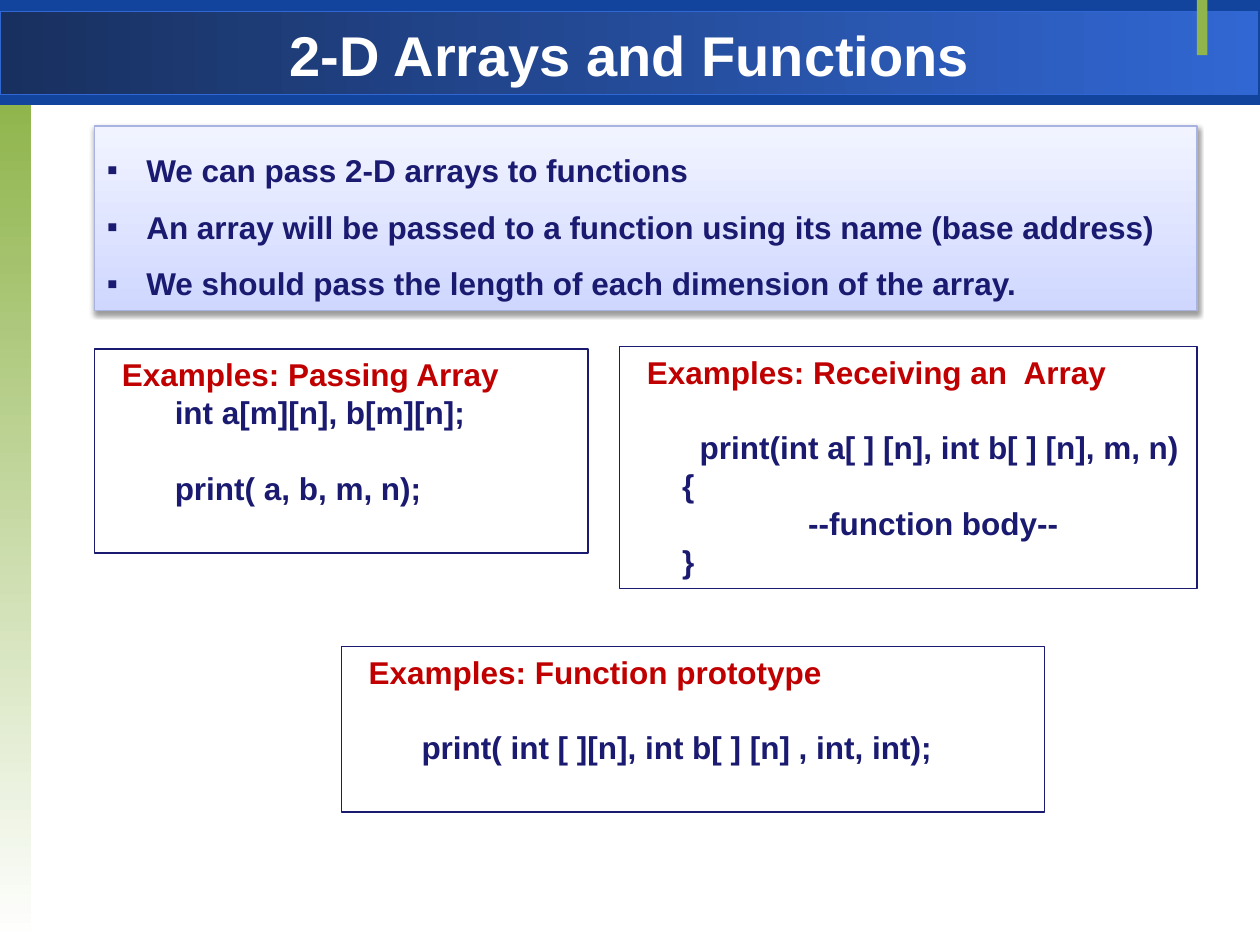
from lxml import etree
from pptx import Presentation
from pptx.dml.color import RGBColor
from pptx.enum.shapes import MSO_SHAPE as SHAPE
from pptx.enum.text import MSO_ANCHOR as ANCHOR, PP_ALIGN as ALIGN
from pptx.oxml import parse_xml
from pptx.oxml.ns import nsdecls, qn
from pptx.util import Pt

rgb = RGBColor.from_string
NAVY, RED, WHITE, GREEN = "1A1A70", "C00000", "FFFFFF", "90B54D"


def add_box(at, colors=(), angle=0, line=None):
    sp = s.shapes.add_shape(SHAPE.RECTANGLE, *[Pt(v) for v in at])
    sp.shadow.inherit = False
    if len(colors) == 2:
        sp.fill.gradient()
        sp.fill.gradient_angle = angle
        for stop, color in zip(sp.fill.gradient_stops, colors):
            stop.color.rgb = rgb(color)
    elif colors:
        sp.fill.solid()
        sp.fill.fore_color.rgb = rgb(colors[0])
    else:
        sp.fill.background()
    if line:
        sp.line.color.rgb = rgb(line)
        sp.line.width = Pt(0.75)
    else:
        sp.line.fill.background()
    sp.text_frame.word_wrap = True
    sp.text_frame.vertical_anchor = ANCHOR.TOP
    return sp


def add_text(tf, text, size=18, color=NAVY, align=ALIGN.LEFT, left=0, first=0,
             before=0, spacing=1.0, bullet=None):
    p = tf.add_paragraph() if tf.text else tf.paragraphs[0]
    p.alignment = align
    p.space_before = Pt(before)
    p.line_spacing = spacing
    pPr = p._p.get_or_add_pPr()
    pPr.set("marL", str(Pt(left)))
    pPr.set("indent", str(Pt(first)))
    if bullet:
        etree.SubElement(pPr, qn("a:buFont")).set("typeface", "Arial")
        etree.SubElement(pPr, qn("a:buChar")).set("char", bullet)
    r = p.add_run()
    r.text = text
    r.font.name = "Arial"
    r.font.size = Pt(size)
    r.font.bold = True
    r.font.color.rgb = rgb(color)


prs = Presentation()
prs.slide_width, prs.slide_height = Pt(720), Pt(540)
s = prs.slides.add_slide(prs.slide_layouts[5])

add_box((0, 0, 720, 60), ["12449E"])
add_box((0, 6.5, 718.5, 47.5), ["18305F", "3167D3"], line="3167D3")
add_box((0, 60, 18, 478), [GREEN, WHITE], angle=270)
add_box((684, 0, 6, 31.5), [GREEN])

title = s.shapes.title
s.shapes._spTree.append(title._element)
title.left, title.top, title.width, title.height = Pt(0), Pt(6), Pt(720), Pt(42)
tf = title.text_frame
tf.vertical_anchor = ANCHOR.MIDDLE
tf.margin_top, tf.margin_bottom = Pt(8), Pt(0)
add_text(tf, "2-D Arrays and Functions", size=32, color=WHITE, align=ALIGN.CENTER)

rules = add_box((54, 72, 630, 105.5), ["CFD7FF", "F1F4FF"], angle=90, line="A8B3E2")
effects = rules._element.spPr.find(qn("a:effectLst"))
effects.append(parse_xml(
    f'<a:outerShdw {nsdecls("a")} blurRad="{Pt(3.1)}" dist="{Pt(1.6)}" dir="5400000" rotWithShape="0">'
    '<a:srgbClr val="000000"><a:alpha val="38000"/></a:srgbClr></a:outerShdw>'))
for text in ("We can pass 2-D arrays to functions",
             "An array will be passed to a function using its name (base address)",
             "We should pass the length of each dimension of the array."):
    add_text(rules.text_frame, text, left=22.5, first=-22.5, spacing=1.5, bullet="▪")

LINE, BRACE, CODE, BODY = 21.6, 28.8, 38.8, 100.8
examples = [
    ((54, 199.5, 282, 116.5), "Examples: Passing Array",
     [("int a[m][n], b[m][n];", CODE, 0), ("print( a, b, m, n);", CODE, LINE)]),
    ((354, 198, 330, 138.25), "Examples: Receiving an  Array",
     [("print(int a[ ] [n], int b[ ] [n], m, n)", CODE, LINE), ("{", BRACE, 0),
      ("--function body--", BODY, 0), ("}", BRACE, 0)]),
    ((195, 369.5, 402, 94.5), "Examples: Function prototype",
     [("print( int [ ][n], int b[ ] [n] , int, int);", CODE, LINE)]),
]
for at, heading, code in examples:
    tf = add_box(at, line=NAVY).text_frame
    add_text(tf, heading, color=RED, align=ALIGN.JUSTIFY, left=28.8, first=-20.2, before=4)
    for text, left, before in code:
        add_text(tf, text, left=left, before=before)

prs.save("out.pptx")
